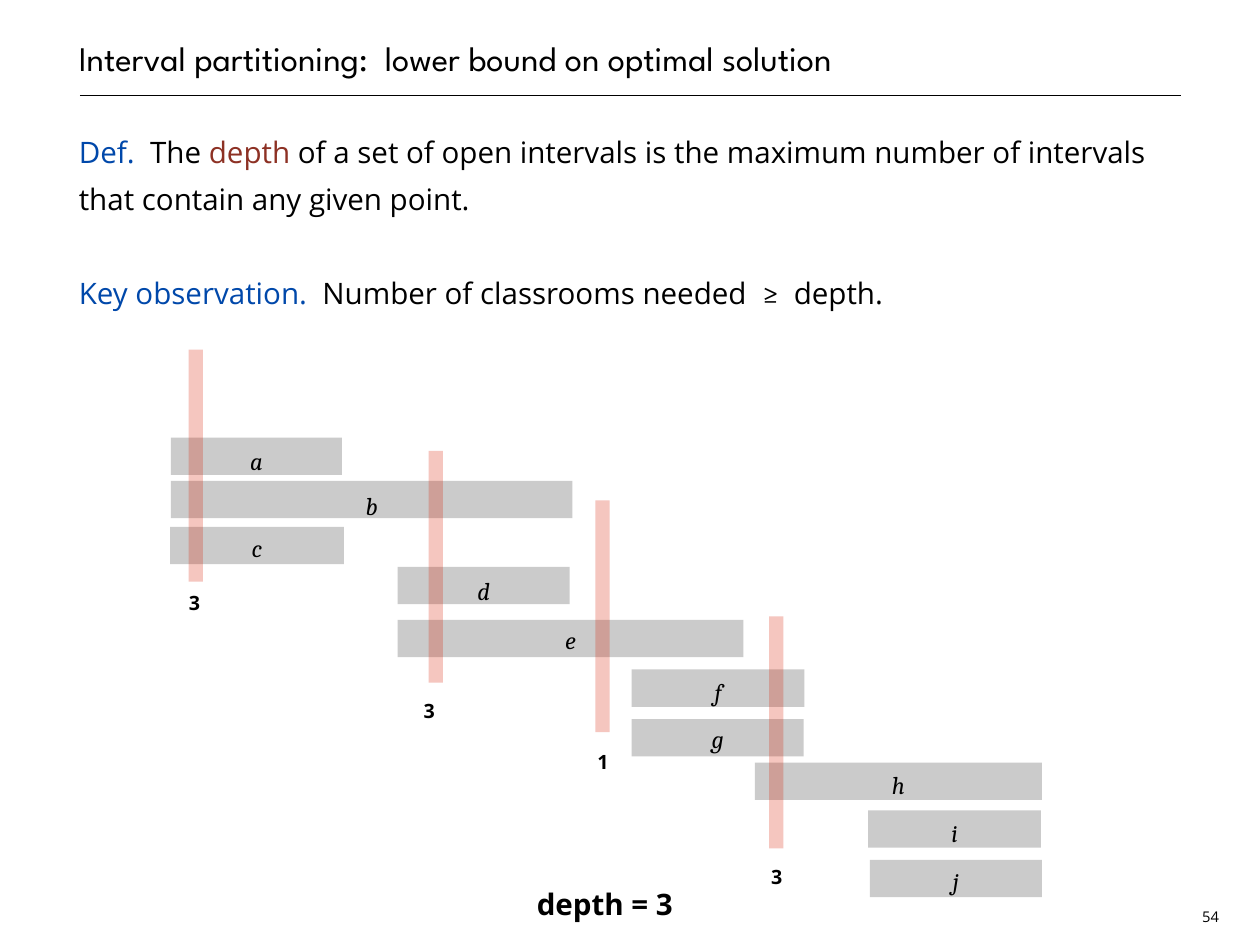
from lxml.etree import SubElement
from pptx import Presentation
from pptx.dml.color import RGBColor
from pptx.enum.shapes import MSO_CONNECTOR as LINK, MSO_SHAPE as SHAPE
from pptx.enum.text import MSO_ANCHOR as ANCHOR, MSO_AUTO_SIZE as FIT, PP_ALIGN as ALIGN
from pptx.oxml.ns import qn
from pptx.util import Cm, Pt

# Content
HUES = {"ink": "000000", "blue": "0048AA", "red": "8D3124",
        "bar": "CBCBCB", "probe": "D81E00"}
SANS, SERIF, HEAD = "Open Sans", "Cambria", "League Spartan"

TITLE = "Interval partitioning:  lower bound on optimal solution"
BODY = [  # paragraphs of (text, hue, font)
    [("Def.  ", "blue", SANS), ("The ", "ink", SANS), ("depth", "red", SANS),
     (" of a set of open intervals is the maximum number of intervals "
      "that contain any given point.", "ink", SANS)],
    [("Key observation.  ", "blue", SANS),
     ("Number of classrooms needed  ", "ink", SANS),
     ("≥", "ink", SERIF), ("  depth.", "ink", SANS)],
]
BARS = [  # name, left, top, width, drop of the label below the bar top
    ("a", 4.9, 12.55, 4.9, 0.1),
    ("b", 4.9, 13.79, 11.51, 0.15),
    ("c", 4.88, 15.11, 4.98, 0.05),
    ("d", 11.4, 16.26, 4.93, 0.13),
    ("e", 11.4, 17.78, 9.91, 0.03),
    ("f", 18.11, 19.2, 4.95, 0.08),
    ("g", 18.11, 20.62, 4.93, 0.03),
    ("h", 21.64, 21.87, 8.23, 0.08),
    ("i", 24.89, 23.24, 4.95, 0.1),
    ("j", 24.94, 24.66, 4.93, 0.05),
]
PROBES = [  # left, top, count, left and top of the count
    (5.41, 10.03, "3", 5.41, 16.74),
    (12.29, 12.93, "3", 12.14, 19.84),
    (17.07, 14.35, "1", 17.12, 21.29),
    (22.05, 17.68, "3", 22.1, 24.61),
]
LEFT, WIDE = 2.26, 31.6
BAR_H, TAG_W, TAG_H = 1.07, 0.38, 0.84
PROBE_W, PROBE_H = 0.41, 6.65


def color(hue):
    return RGBColor.from_string(HUES[hue])


def add_run(para, text, size, font, hue="ink", bold=False, italic=False):
    run = para.add_run()
    run.text = text
    face = run.font
    face.name, face.size = font, Pt(size)
    face.bold, face.italic = bold, italic
    face.color.rgb = color(hue)


def set_frame(frame, anchor, wrap, inset=0):
    frame.margin_left = frame.margin_right = Cm(inset)
    frame.margin_top = frame.margin_bottom = Cm(inset)
    frame.vertical_anchor, frame.word_wrap = anchor, wrap
    frame.auto_size = FIT.NONE


def place(shape, left, top, width, height):
    shape.left, shape.top = Cm(left), Cm(top)
    shape.width, shape.height = Cm(width), Cm(height)


def add_label(shapes, box, text, size, font=SANS, anchor=ANCHOR.TOP,
              inset=0, space=1.3, **style):
    frame = shapes.add_textbox(*map(Cm, box)).text_frame
    set_frame(frame, anchor, False, inset)
    para = frame.paragraphs[0]
    para.alignment, para.line_spacing = ALIGN.CENTER, space
    add_run(para, text, size, font, **style)


def add_rect(shapes, box, hue, alpha=None):
    rect = shapes.add_shape(SHAPE.RECTANGLE, *map(Cm, box))
    rect.shadow.inherit = False
    rect.fill.solid()
    rect.fill.fore_color.rgb = color(hue)
    rect.line.fill.background()
    if alpha:
        tint = rect.fill._xPr.find(qn("a:solidFill"))[0]
        SubElement(tint, qn("a:alpha"), val=str(alpha * 1000))


deck = Presentation()
deck.slide_width, deck.slide_height = Cm(36.12), Cm(27.1)
slide = deck.slides.add_slide(deck.slide_layouts[1])
shapes = slide.shapes

# Title and rule
title = shapes.title
place(title, LEFT, 0, WIDE, 2.26)
set_frame(title.text_frame, ANCHOR.BOTTOM, True)
para = title.text_frame.paragraphs[0]
para.alignment, para.line_spacing = ALIGN.LEFT, Pt(38)
add_run(para, TITLE, 28, HEAD)

rule = shapes.add_connector(LINK.STRAIGHT, Cm(2.29), Cm(2.74), Cm(33.86), Cm(2.74))
rule.line.color.rgb = color("ink")
rule.line.width = Pt(1)
SubElement(rule._element.spPr, qn("a:effectLst"))

# Definition and observation
body = slide.placeholders[1]
place(body, LEFT, 3.53, WIDE, 22.71)
frame = body.text_frame
set_frame(frame, ANCHOR.TOP, True)
for n, runs in enumerate(BODY):
    para = frame.add_paragraph() if n else frame.paragraphs[0]
    para.line_spacing = Pt(38)
    para.space_before = Pt(38 * n)
    props = para._p.get_or_add_pPr()
    props.set("marL", "0")
    props.set("indent", "0")
    SubElement(props, qn("a:buNone"))
    for text, hue, font in runs:
        add_run(para, text, 24, font, hue)

# Intervals
for name, left, top, width, drop in BARS:
    group = shapes.add_group_shape().shapes
    add_rect(group, (left, top, width, BAR_H), "bar")
    tag = (left + (width - TAG_W) / 2, top + drop, TAG_W, TAG_H)
    add_label(group, tag, name, 20, SERIF, ANCHOR.MIDDLE, italic=True)

# Probes with their counts
for left, top, count, x, y in PROBES:
    add_rect(shapes, (left, top, PROBE_W, PROBE_H), "probe", 25)
    add_label(shapes, (x, y, 0.33, 0.79), count, 16, bold=True)

# Result and page number
add_label(shapes, (15.37, 25.1, 3.94, 1.19), "depth = 3", 24, bold=True)
add_label(shapes, (34.31, 25.96, 0.79, 0.61), "54", 12, inset=0.1, space=Pt(14))

deck.save("out.pptx")
